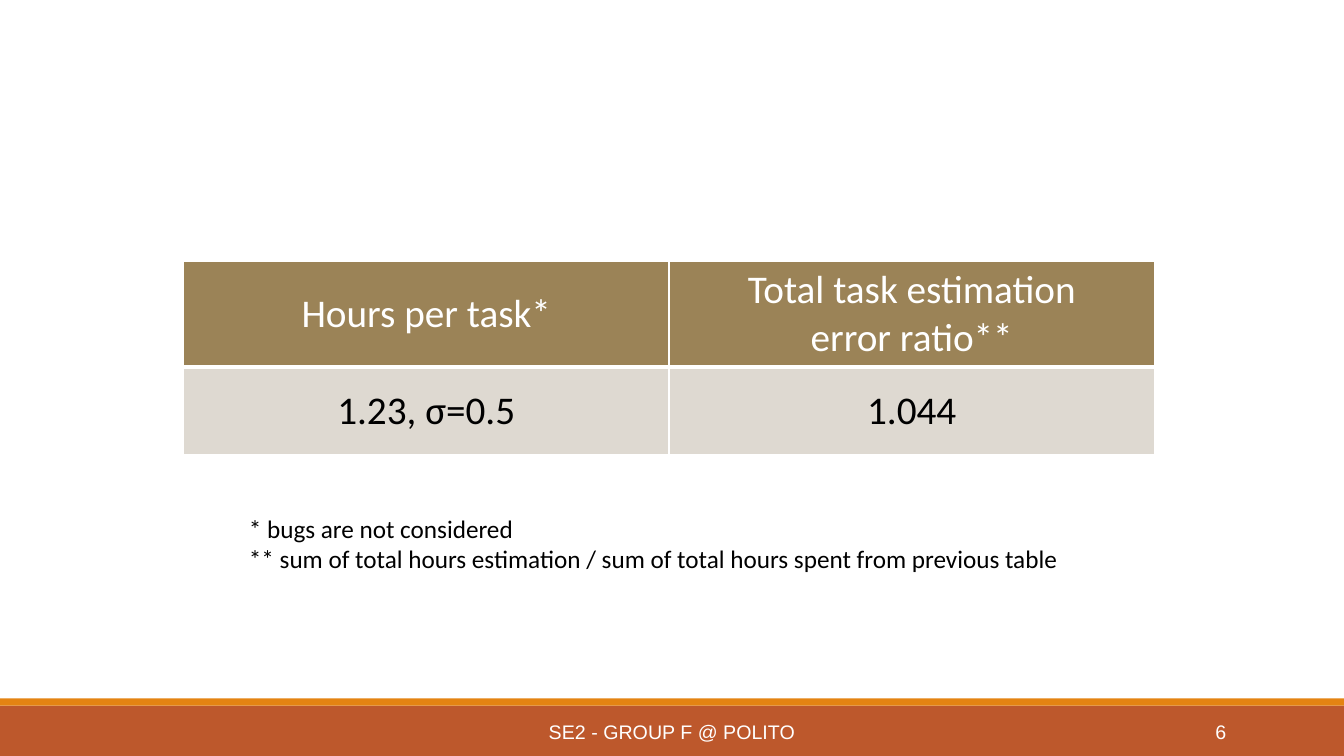
from dataclasses import dataclass

from lxml.etree import SubElement
from pptx import Presentation
from pptx.dml.color import RGBColor
from pptx.enum.shapes import MSO_SHAPE
from pptx.enum.text import MSO_ANCHOR, PP_ALIGN
from pptx.oxml.ns import qn
from pptx.util import Inches, Pt

COLORS = {
    "white": "FFFFFF",
    "black": "000000",
    "rust": "BD582C",
    "orange": "E48312",
    "header": "9B8357",
    "body": "DED9D1",
}


@dataclass
class Band:
    top: float
    height: float
    color: str


@dataclass
class Style:
    size: int
    font: str
    color: str
    align: PP_ALIGN
    anchor: MSO_ANCHOR = MSO_ANCHOR.MIDDLE


@dataclass
class Label:
    left: float
    top: float
    width: float
    height: float
    lines: list[str]
    style: Style


@dataclass
class Row:
    height: float
    cells: list[list[str]]
    fill: str
    text: str
    borders: dict[str, int]


BANDS = [Band(7, 0.5, "rust"), Band(6.93, 0.07, "orange")]

LABELS = [
    Label(4.03, 7.06, 5.27, 0.4, ["SE2 - GROUP F @ POLITO"],
          Style(14, "Arial", "white", PP_ALIGN.CENTER)),
    Label(10.83, 7.06, 1.43, 0.4, ["6"],
          Style(14, "Arial", "white", PP_ALIGN.RIGHT)),
    Label(2.37, 5.04, 8.24, 0.71,
          ["* bugs are not considered",
           "** sum of total hours estimation / sum of total hours spent from previous table"],
          Style(18, "Calibri", "black", PP_ALIGN.LEFT, MSO_ANCHOR.TOP)),
]

ROWS = [
    Row(1.03, [["Hours per task*"], ["Total task estimation", "error ratio**"]],
        "header", "white", {"L": 1, "R": 1, "T": 1, "B": 3}),
    Row(0.87, [["1.23, σ=0.5"], ["1.044"]],
        "body", "black", {"L": 1, "R": 1, "T": 3, "B": 1}),
]


def rgb(name: str) -> RGBColor:
    return RGBColor.from_string(COLORS[name])


def write(tf, lines: list[str], style: Style) -> None:
    tf.word_wrap = True
    for i, line in enumerate(lines):
        p = tf.add_paragraph() if i else tf.paragraphs[0]
        p.alignment = style.align
        r = p.add_run()
        r.text = line
        r.font.size = Pt(style.size)
        r.font.name = style.font
        r.font.color.rgb = rgb(style.color)


def add_band(s, band: Band, width: int) -> None:
    sp = s.shapes.add_shape(MSO_SHAPE.RECTANGLE, 0, Inches(band.top), width, Inches(band.height))
    sp.shadow.inherit = False
    sp.fill.solid()
    sp.fill.fore_color.rgb = rgb(band.color)
    sp.line.fill.background()


def add_label(s, label: Label) -> None:
    sp = s.shapes.add_textbox(Inches(label.left), Inches(label.top),
                              Inches(label.width), Inches(label.height))
    tf = sp.text_frame
    tf.vertical_anchor = label.style.anchor
    write(tf, label.lines, label.style)


def set_borders(cell, borders: dict[str, int]) -> None:
    tc_pr = cell._tc.get_or_add_tcPr()
    for side, width in borders.items():
        ln = SubElement(tc_pr, qn(f"a:ln{side}"), w=str(Pt(width)))
        fill = SubElement(ln, qn("a:solidFill"))
        SubElement(fill, qn("a:srgbClr"), val=COLORS["white"])


def add_metrics_table(s, rows: list[Row]) -> None:
    height = sum(row.height for row in rows)
    table = s.shapes.add_table(len(rows), len(rows[0].cells), Inches(1.82), Inches(2.59),
                               Inches(9.63), Inches(height)).table
    table.horz_banding = False
    for i, row in enumerate(rows):
        table.rows[i].height = Inches(row.height)
        style = Style(28, "Calibri", row.text, PP_ALIGN.CENTER)
        for j, lines in enumerate(row.cells):
            cell = table.cell(i, j)
            cell.vertical_anchor = style.anchor
            set_borders(cell, row.borders)
            cell.fill.solid()
            cell.fill.fore_color.rgb = rgb(row.fill)
            write(cell.text_frame, lines, style)


def main() -> None:
    prs = Presentation()
    prs.slide_width, prs.slide_height = Inches(13.33), Inches(7.5)
    s = prs.slides.add_slide(prs.slide_layouts[6])

    # Footer bands
    for band in BANDS:
        add_band(s, band, prs.slide_width)

    # Metrics table
    add_metrics_table(s, ROWS)

    # Footer text and table notes
    for label in LABELS:
        add_label(s, label)

    prs.save("out.pptx")


if __name__ == "__main__":
    main()
